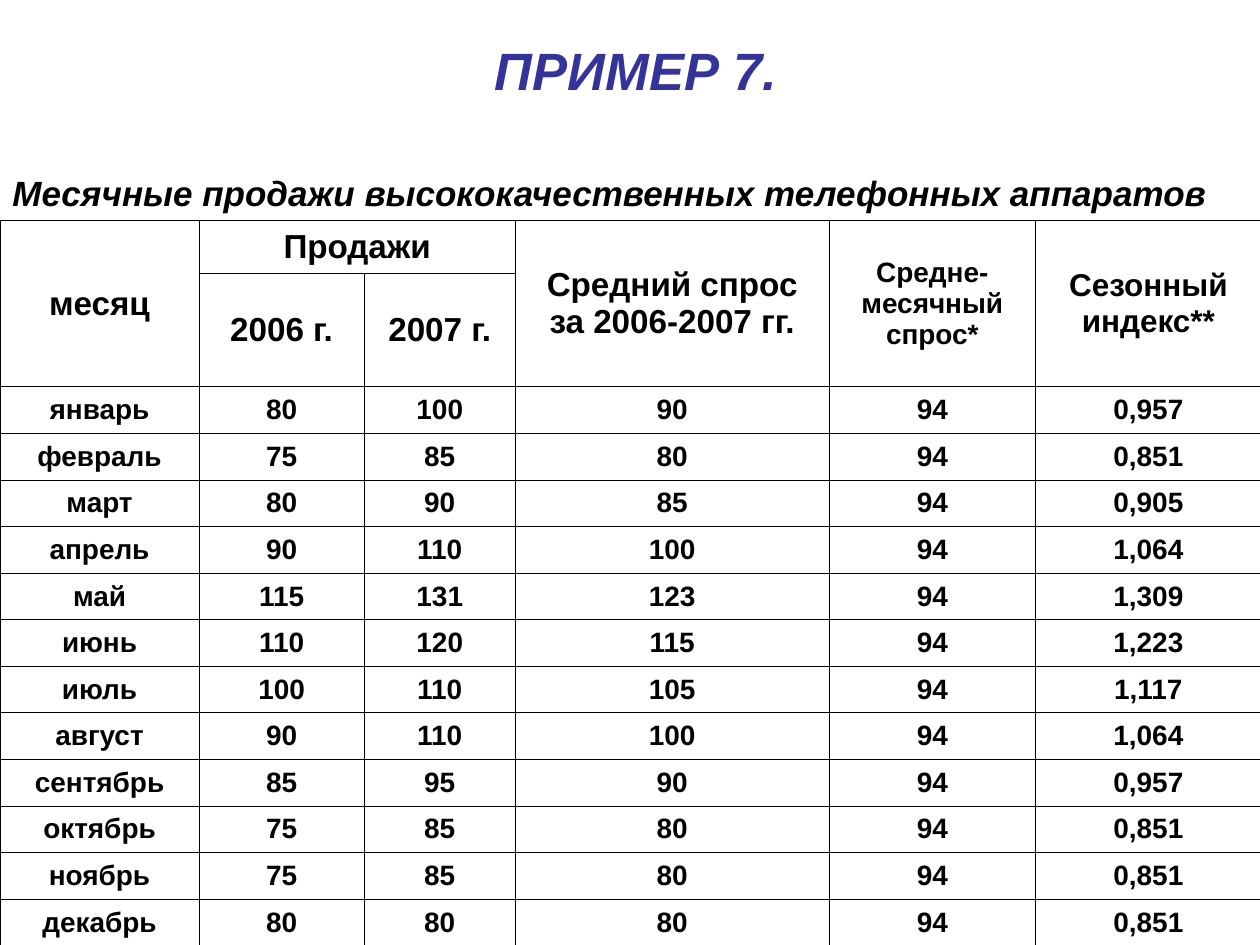
import pptx
import pptx.dml.color
import pptx.enum.text
import pptx.oxml
import pptx.oxml.ns
import pptx.util
from pptx.util import Inches

ALIGN = pptx.enum.text.PP_ALIGN
MIDDLE = pptx.enum.text.MSO_ANCHOR.MIDDLE
BLACK, TITLE_BLUE = "000000", "333399"

# Content: text, left, top, width, height, size, colour
HEADINGS = [
    ("ПРИМЕР 7.", 3.83, 0.25, 2.58, 0.6, 30, TITLE_BLUE),
    ("Месячные продажи высококачественных телефонных аппаратов",
     0, 1.31, 10.17, 0.44, 20, BLACK),
]

# Header cells: row, column, last row, last column, text, size
HEADER = [
    (0, 0, 1, 0, "месяц", 19),
    (0, 1, 0, 2, "Продажи", 19),
    (1, 1, 1, 1, "2006 г.", 19),
    (1, 2, 1, 2, "2007 г.", 19),
    (0, 3, 1, 3, "Средний спрос за 2006-2007 гг.", 19),
    (0, 4, 1, 4, "Средне-\nмесячный спрос*", 16),
    (0, 5, 1, 5, "Сезонный индекс**", 18),
]

# Month, sales in 2006, sales in 2007, average demand, seasonal index
MONTHS = [
    ("январь", 80, 100, 90, "0,957"),
    ("февраль", 75, 85, 80, "0,851"),
    ("март", 80, 90, 85, "0,905"),
    ("апрель", 90, 110, 100, "1,064"),
    ("май", 115, 131, 123, "1,309"),
    ("июнь", 110, 120, 115, "1,223"),
    ("июль", 100, 110, 105, "1,117"),
    ("август", 90, 110, 100, "1,064"),
    ("сентябрь", 85, 95, 90, "0,957"),
    ("октябрь", 75, 85, 80, "0,851"),
    ("ноябрь", 75, 85, 80, "0,851"),
    ("декабрь", 80, 80, 80, "0,851"),
]
MONTHLY_DEMAND = 94
COL_WIDTHS = [1.58, 1.31, 1.2, 2.49, 1.64, 1.79]
ROW_HEIGHTS = [0.42, 0.9] + [0.37] * len(MONTHS)


def rgb(value):
    return pptx.dml.color.RGBColor.from_string(value)


def write(tf, text, size, color, align, italic=False):
    tf.text = text
    for p in tf.paragraphs:
        p.alignment = align
        p.font.name = "Arial"
        p.font.size = pptx.util.Pt(size)
        p.font.bold = True
        p.font.italic = italic
        p.font.color.rgb = rgb(color)


def add_borders(cell):
    tc_pr = cell._tc.get_or_add_tcPr()
    for i, side in enumerate(("lnL", "lnR", "lnT", "lnB")):
        tc_pr.insert(i, pptx.oxml.parse_xml(
            f'<a:{side} {pptx.oxml.ns.nsdecls("a")} w="{pptx.util.Pt(0.45)}">'
            f'<a:solidFill><a:srgbClr val="{BLACK}"/></a:solidFill></a:{side}>'))


def add_heading(slide, text, left, top, width, height, size, color):
    sp = slide.shapes.add_textbox(*map(Inches, (left, top, width, height)))
    tf = sp.text_frame
    tf.word_wrap = True
    tf.vertical_anchor = MIDDLE
    write(tf, text, size, color, ALIGN.JUSTIFY, italic=True)


def add_sales_table(slide):
    table = slide.shapes.add_table(
        len(ROW_HEIGHTS), len(COL_WIDTHS), 0, Inches(1.75),
        Inches(10), Inches(sum(ROW_HEIGHTS))).table
    table.first_row = table.horz_banding = False
    for col, width in zip(table.columns, COL_WIDTHS):
        col.width = Inches(width)
    for row, height in zip(table.rows, ROW_HEIGHTS):
        row.height = Inches(height)
    for cell in table.iter_cells():
        cell.fill.background()
        cell.vertical_anchor = MIDDLE
        add_borders(cell)

    # Header with merged cells
    for row, col, last_row, last_col, text, size in HEADER:
        cell = table.cell(row, col)
        if (row, col) != (last_row, last_col):
            cell.merge(table.cell(last_row, last_col))
        write(cell.text_frame, text, size, BLACK, ALIGN.CENTER)

    # One row per month
    for r, (*sales, index) in enumerate(MONTHS, start=2):
        for c, value in enumerate((*sales, MONTHLY_DEMAND, index)):
            write(table.cell(r, c).text_frame, str(value), 16, BLACK, ALIGN.CENTER)


def main():
    prs = pptx.Presentation()
    prs.slide_width, prs.slide_height = Inches(10), Inches(7.5)
    slide = prs.slides.add_slide(prs.slide_layouts[6])
    add_sales_table(slide)
    for heading in HEADINGS:
        add_heading(slide, *heading)
    prs.save("out.pptx")


if __name__ == "__main__":
    main()
